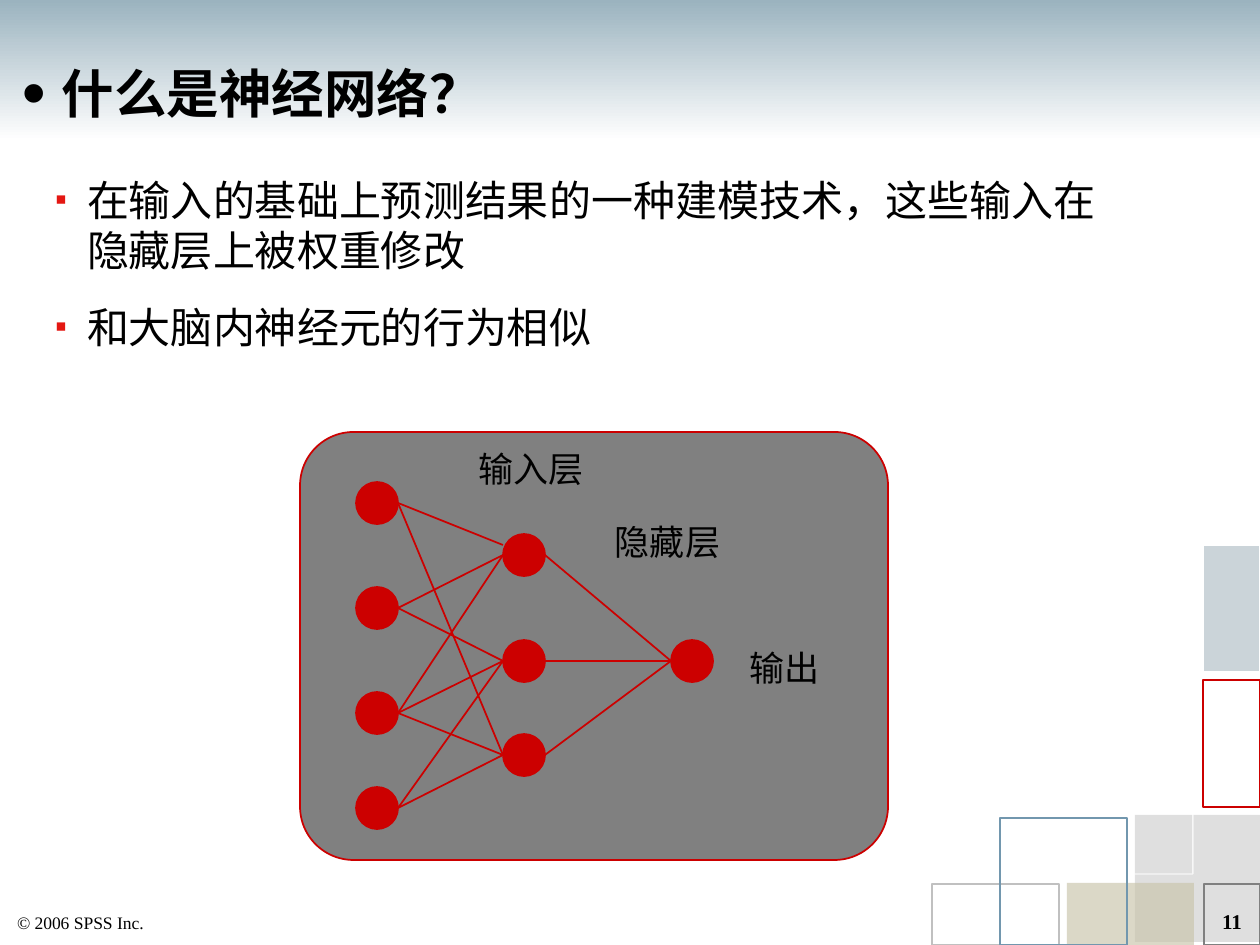
import pptx
import pptx.util
import pptx.dml.color
import pptx.enum.shapes
import pptx.enum.text
import pptx.oxml
import pptx.oxml.ns
from dataclasses import dataclass

SCALE = 914400 / 126
KIND = pptx.enum.shapes.MSO_SHAPE
ALIGN = pptx.enum.text.PP_ALIGN
ANCHOR = pptx.enum.text.MSO_ANCHOR
FIT = pptx.enum.text.MSO_AUTO_SIZE


@dataclass(frozen=True)
class Theme:
    ink: str = "000000"
    red: str = "CC0000"
    mark: str = "E41712"
    gray: str = "808080"
    white: str = "FFFFFF"
    sans: str = "Arial"
    serif: str = "Times New Roman"
    title: int = 30
    body: int = 24
    label: int = 20
    page: int = 12
    foot: int = 10


THEME = Theme()
# box, fill, fill opacity, line, line width, line opacity
TILES = [
    ((1204, 884, 56, 61), None, 100, THEME.gray, 0.75, 100),
    ((1135, 815, 125, 127), THEME.gray, 25, None, 0, 100),
    ((1067, 883, 127, 62), "C9C5AB", 66, None, 0, 100),
    ((1203, 680, 57, 127), None, 100, THEME.red, 0.79, 100),
    ((932, 884, 127, 61), None, 100, "C0C0C0", 0.75, 100),
    ((1066, 747, 127, 127), None, 100, THEME.white, 0.75, 76),
    ((1203, 545, 57, 127), "46667A", 28, THEME.white, 0.75, 100),
    ((1000, 818, 127, 127), None, 100, "7297AE", 0.75, 100),
]
NODE = 42
# centre x and the centre y of each node, layer by layer
LAYERS = [(377, (503, 608, 713, 808)), (524, (555, 661, 755)), (692, (661,))]
# left layer, left node, right node, shift of the right end
LINKS = [
    (0, 0, 0, -10), (0, 0, 2, 0), (0, 1, 0, 0), (0, 1, 1, 0),
    (0, 2, 0, 0), (0, 2, 1, 0), (0, 2, 2, 0), (0, 3, 1, 0),
    (0, 3, 2, 0), (1, 0, 0, 0), (1, 1, 0, 0), (1, 2, 0, 0),
]
LABELS = [
    ("输出", (737, 640, 96, 54), ALIGN.CENTER),
    ("隐藏层", (602, 514, 131, 54), ALIGN.CENTER),
    ("输入层", (466, 441, 131, 54), ALIGN.RIGHT),
]
POINTS = [
    "在输入的基础上预测结果的一种建模技术，这些输入在隐藏层上被权重修改",
    "和大脑内神经元的行为相似",
]


def px(*vals):
    return [round(val * SCALE) for val in vals]


def rgb(code):
    return pptx.dml.color.RGBColor.from_string(code)


def apply(item, form):
    for name, val in form.items():
        setattr(item, name, val)


def fade(color, alpha):
    """Set the opacity, in percent, of a solid fill's colour."""
    if alpha < 100:
        node = color._xFill[0]
        pptx.oxml.ns.qn("a:alpha")
        tag = pptx.oxml.parse_xml(
            f'<a:alpha {pptx.oxml.ns.nsdecls("a")} val="{alpha * 1000}"/>')
        node.append(tag)


def paint(fill, code, alpha=100):
    if code is None:
        fill.background()
        return
    fill.solid()
    fill.fore_color.rgb = rgb(code)
    fade(fill.fore_color, alpha)


def draw(shapes, kind, box, fill=None, clear=100, line=None, width=1, faint=100):
    shape = shapes.add_shape(kind, *px(*box))
    shape.shadow.inherit = False
    paint(shape.fill, fill, clear)
    paint(shape.line.fill, line, faint)
    if line:
        shape.line.width = pptx.util.Pt(width)
    return shape


def band(shapes, box, top, end):
    shape = draw(shapes, KIND.RECTANGLE, box)
    shape.fill.gradient()
    shape.fill.gradient_angle = 270
    for stop, code in zip(shape.fill.gradient_stops, (top, end)):
        stop.color.rgb = rgb(code)


def link(shapes, start, end):
    line = shapes.add_connector(
        pptx.enum.shapes.MSO_CONNECTOR.STRAIGHT, *px(*start, *end))
    line.line.color.rgb = rgb(THEME.red)
    line.line.width = pptx.util.Pt(1)
    line._element.spPr.append(pptx.oxml.parse_xml(
        f'<a:effectLst {pptx.oxml.ns.nsdecls("a")}/>'))


def write(para, text, size, face, bold=False):
    run = para.add_run()
    run.text = text
    apply(run.font, {"size": pptx.util.Pt(size), "name": face, "bold": bold})
    run.font.color.rgb = rgb(THEME.ink)


def bullet(para, char, code, size, indent):
    props = para._p.get_or_add_pPr()
    left, = px(indent)
    props.set("marL", str(left))
    props.set("indent", str(-left))
    space = pptx.oxml.ns.nsdecls("a")
    for tag in (
        f'<a:buClr {space}><a:srgbClr val="{code}"/></a:buClr>',
        f'<a:buSzPct {space} val="{size * 1000}"/>',
        f'<a:buFont {space} typeface="{THEME.sans}"/>',
        f'<a:buChar {space} char="{char}"/>',
    ):
        props.append(pptx.oxml.parse_xml(tag))


def frame(shape, wrap=True, **form):
    """Set the insets and flow of a shape's text."""
    side, edge = px(13, 6)
    base = {"margin_left": side, "margin_right": side, "margin_top": edge,
            "margin_bottom": edge, "auto_size": FIT.NONE, "word_wrap": wrap}
    apply(shape.text_frame, {**base, **form})
    return shape.text_frame


def place(shape, box):
    apply(shape, dict(zip(("left", "top", "width", "height"), px(*box))))


def note(shapes, text, box, size, align=ALIGN.LEFT, bold=False, wrap=True, fill=None):
    shape = shapes.add_textbox(*px(*box))
    paint(shape.fill, fill)
    para = frame(shape, wrap).paragraphs[0]
    para.alignment = align
    write(para, text, size, THEME.serif, bold)


def backdrop(shapes):
    band(shapes, (-1, -1, 1260, 141), THEME.white, "C0CFD6")
    band(shapes, (0, 0, 1260, 141), "9BB3BF", THEME.white)
    for box, *look in TILES:
        draw(shapes, KIND.RECTANGLE, box, *look)


def heading(shape):
    place(shape, (9, 33, 1108, 127))
    text = frame(shape, margin_top=0, margin_bottom=0,
                 vertical_anchor=ANCHOR.MIDDLE)
    para = text.paragraphs[0]
    bullet(para, "•", THEME.ink, 130, 40)
    apply(para, {"alignment": ALIGN.LEFT, "line_spacing": 0.88})
    write(para, "什么是神经网络？", THEME.title, THEME.sans, True)


def points(shape):
    place(shape, (42, 168, 1092, 197))
    text = frame(shape, vertical_anchor=ANCHOR.TOP)
    for rank, line in enumerate(POINTS):
        para = text.add_paragraph() if rank else text.paragraphs[0]
        bullet(para, "▪", THEME.mark, 80, 32)
        para.space_before = pptx.util.Pt(15 if rank else 0)
        write(para, line, THEME.body, THEME.sans)


def network(shapes):
    panel = draw(shapes, KIND.ROUNDED_RECTANGLE, (300, 432, 588, 428),
                 THEME.gray, line=THEME.red)
    panel.adjustments[0] = 0.125
    group = shapes.add_group_shape().shapes
    half = NODE // 2
    for mid, rows in LAYERS:
        for row in rows:
            draw(group, KIND.OVAL, (mid - half, row - half, NODE, NODE),
                 THEME.red, line=THEME.red)
    for layer, start, end, shift in LINKS:
        (left, tops), (right, ends) = LAYERS[layer:layer + 2]
        link(group, (left + half, tops[start]),
             (right - half, ends[end] + shift))
    for text, box, align in LABELS:
        note(group, text, box, THEME.label, align, wrap=False, fill=THEME.gray)


def main():
    deck = pptx.Presentation()
    apply(deck, dict(zip(("slide_width", "slide_height"), px(1260, 945))))
    slide = deck.slides.add_slide(deck.slide_layouts[1])
    shapes = slide.shapes
    title, body = list(slide.placeholders)
    backdrop(shapes)
    for shape in (title, body):
        shapes._spTree.append(shape._element)
    heading(title)
    points(body)
    network(shapes)
    note(shapes, "© 2006 SPSS Inc.", (4, 906, 399, 33), THEME.foot)
    note(shapes, "11", (993, 903, 262, 34), THEME.page, ALIGN.RIGHT, True)
    deck.save("out.pptx")


if __name__ == "__main__":
    main()
